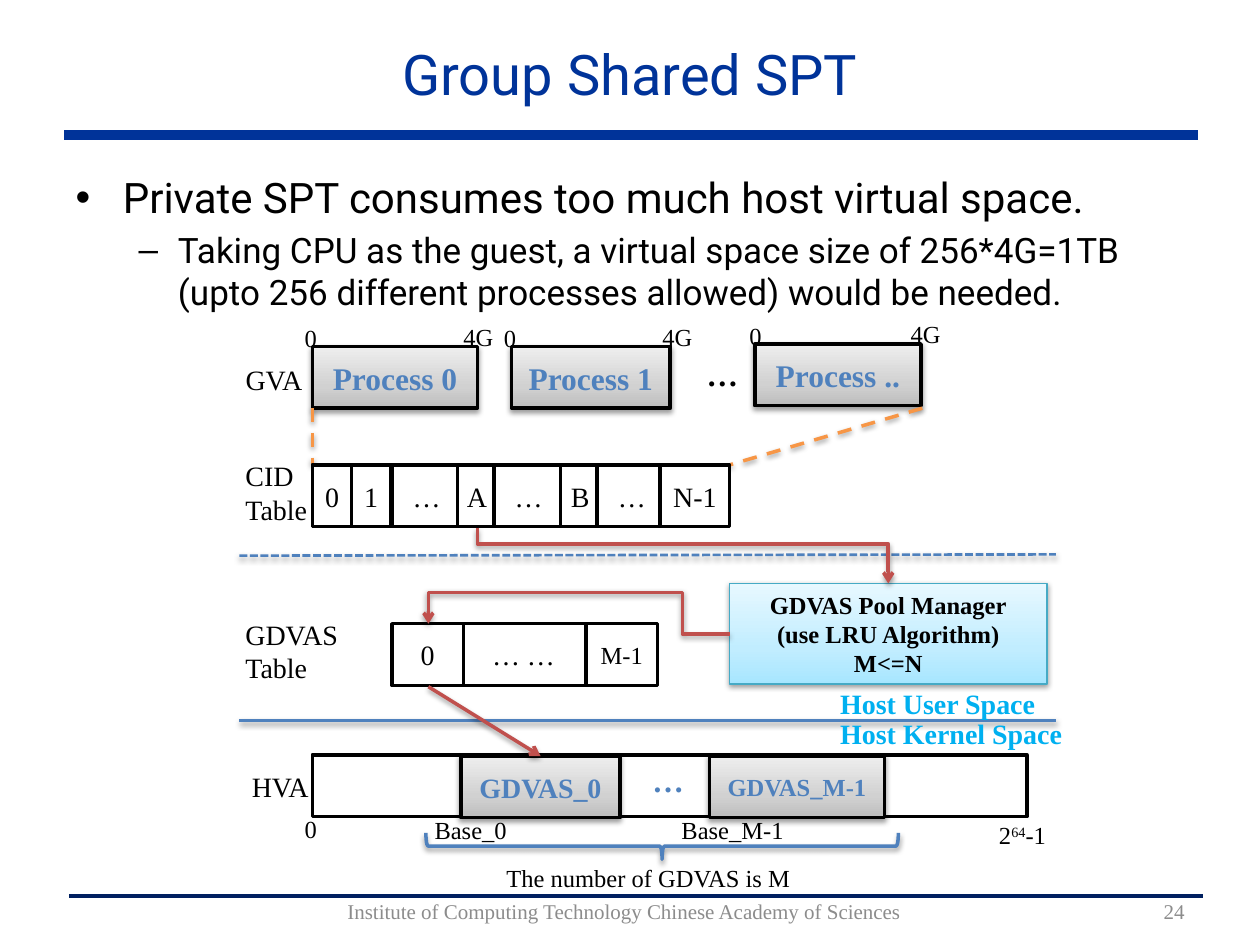
from copy import deepcopy

from lxml.etree import SubElement
from pptx import Presentation
from pptx.dml.color import RGBColor
from pptx.enum.dml import MSO_LINE as Dash
from pptx.enum.shapes import MSO_CONNECTOR as Link, MSO_SHAPE as Shape
from pptx.enum.text import MSO_ANCHOR as Anchor, MSO_AUTO_SIZE as Fit, PP_ALIGN as Align
from pptx.oxml.ns import qn
from pptx.util import Emu, Inches, Pt

COLS, ROWS = 100, 75
SERIF, SANS = "Times New Roman", "Roboto"
BLACK, WHITE, BLUE, RED, ORANGE = "000000", "FFFFFF", "4F81BD", "C0504D", "F79646"
CYAN, GREY, NAVY, TITLE = "00B0F0", "8C8C8C", "002060", "003399"
SILVER = ("BDBDBD", "D1D1D1", "EEEEEE")
SKY = ("A7E6FF", "C1EDFF", "E7F8FF")


def rgb(value):
    return RGBColor.from_string(value)


class Diagram:
    """Draws styled elements on one slide, with lengths in grid columns and rows."""

    def __init__(self, prs):
        self.s = prs.slides.add_slide(prs.slide_layouts[1])
        self.col, self.row = prs.slide_width / COLS, prs.slide_height / ROWS

    def place(self, x, y, w, h):
        return [Emu(round(v * unit)) for v, unit in zip((x, y, w, h), (self.col, self.row) * 2)]

    def format(self, tf, size, color=BLACK, bold=False, font=SERIF, align=None):
        for p in tf.paragraphs:
            if align is not None:
                p.alignment = align
            for r in p.runs:
                r.font.size, r.font.bold, r.font.name = Pt(size), bold, font
                r.font.color.rgb = rgb(color)

    def placeholder(self, sp, box, text, sizes, color, align=None):
        sp.left, sp.top, sp.width, sp.height = self.place(*box)
        tf = sp.text_frame
        tf.text, tf.auto_size = text, Fit.NONE
        self.format(tf, sizes[0], color, font=SANS, align=align)
        for level, (p, size) in enumerate(zip(tf.paragraphs, sizes)):
            p.level = level
            for r in p.runs:
                r.font.size = Pt(size)

    def text(self, x, y, w, h, text, size=14, color=BLACK, bold=False, align=Align.LEFT, anchor=Anchor.TOP):
        tf = self.s.shapes.add_textbox(*self.place(x, y, w, h)).text_frame
        tf.word_wrap, tf.vertical_anchor = True, anchor
        tf.text = text
        self.format(tf, size, color, bold, align=align)
        return tf

    def power(self, x, y, w, h, base, exponent, rest):
        tf = self.text(x, y, w, h, base)
        for part in (exponent, rest):
            tf.paragraphs[0].add_run().text = part
        self.format(tf, 14)
        tf.paragraphs[0].runs[1].font._element.set("baseline", "30000")

    def effects(self, sp, shadow):
        effects = SubElement(sp._element.spPr, qn("a:effectLst"))
        if shadow:
            outer = SubElement(effects, qn("a:outerShdw"), blurRad=str(Pt(3.1)), dist=str(Pt(1.6)),
                               dir="5400000", rotWithShape="0")
            color = SubElement(outer, qn("a:srgbClr"), val=BLACK)
            SubElement(color, qn("a:alpha"), val="38000")

    def stroke(self, sp, color, width):
        sp.line.color.rgb, sp.line.width = rgb(color), Pt(width)

    def gradient(self, sp, colors):
        fill = sp.fill
        fill.gradient()
        fill.gradient_angle = 90
        first = fill.gradient_stops[0]._gs
        first.addnext(deepcopy(first))
        for stop, color, position in zip(fill.gradient_stops, colors, (0, 0.35, 1)):
            stop.color.rgb, stop.position = rgb(color), position

    def box(self, x, y, w, h, text="", size=16, fill=WHITE, color=BLACK, bold=False, line=BLACK, width=2):
        sp = self.s.shapes.add_shape(Shape.RECTANGLE, *self.place(x, y, w, h))
        shaded = fill != WHITE
        if shaded:
            self.gradient(sp, fill)
        else:
            sp.fill.solid()
            sp.fill.fore_color.rgb = rgb(fill)
        self.stroke(sp, line, width)
        self.effects(sp, shaded)
        tf = sp.text_frame
        tf.margin_left = tf.margin_right = 0
        tf.vertical_anchor = Anchor.MIDDLE
        tf.text = text
        self.format(tf, size, color, bold, align=Align.CENTER)

    def block(self, x, y, w, text, size):
        self.box(x, y, w, 4.9, text, size, SILVER, BLUE, True)

    def cells(self, y, cells):
        for x, w, text, size in cells:
            self.box(x, y, w, 4.9, text, size)

    def brace(self, x, y, w, h):
        sp = self.s.shapes.add_shape(Shape.LEFT_BRACE, *self.place(x, y, w, h))
        sp.rotation = 270
        sp.fill.background()
        self.stroke(sp, BLUE, 2)
        self.effects(sp, True)

    def line(self, start, end, color, width=2, dash=None, arrow=False, shadow=True, kind=Link.STRAIGHT):
        sp = self.s.shapes.add_connector(kind, *self.place(*start, *end))
        self.stroke(sp, color, width)
        if dash:
            sp.line.dash_style = dash
        if arrow:
            SubElement(sp._element.spPr.find(qn("a:ln")), qn("a:tailEnd"), type="arrow")
        self.effects(sp, shadow)
        return sp

    def elbow(self, x, y, w, h, preset, adjust, **turn):
        sp = self.line((x, y), (x + w, y + h), RED, arrow=True, kind=Link.ELBOW)
        spPr = sp._element.spPr
        for key, value in turn.items():
            spPr.find(qn("a:xfrm")).set(key, value)
        geom = spPr.find(qn("a:prstGeom"))
        geom.set("prst", preset)
        guides = geom.find(qn("a:avLst"))
        for i, value in enumerate(adjust, 1):
            SubElement(guides, qn("a:gd"), name=f"adj{i}", fmla=f"val {value}")


def main():
    prs = Presentation()
    prs.slide_width, prs.slide_height = Inches(10), Inches(7.5)
    d = Diagram(prs)

    d.line((5.5, 71.1), (95.5, 71.1), NAVY, 2.25, shadow=False)
    d.line((5.1, 10.7), (95.1, 10.7), TITLE, 6, shadow=False)
    title, body = d.s.placeholders
    d.placeholder(title, (5, 1.6, 90, 8.4), "Group Shared SPT", (32,), TITLE, Align.CENTER)
    d.placeholder(body, (5, 13.1, 90, 56.7),
                  "Private SPT consumes too much host virtual space.\n"
                  "Taking CPU as the guest, a virtual space size of 256*4G=1TB "
                  "(upto 256 different processes allowed) would be needed.", (24, 20), BLACK)
    d.text(16.1, 71.1, 66.9, 2.4, "Institute of Computing Technology Chinese Academy of Sciences",
           12, GREY, align=Align.CENTER, anchor=Anchor.MIDDLE)
    d.text(83.1, 71.1, 11.9, 2.4, "24", 12, GREY, align=Align.RIGHT, anchor=Anchor.MIDDLE)

    for x, y, w, label in ((18.5, 28.3, 7.9, "GVA"), (18.5, 48.5, 21.3, "GDVAS\nTable"),
                           (19, 60.6, 7.3, "HVA")):
        d.text(x, y, w, 3.7, label, 16)

    for x, y, w, name, low, high in ((24.8, 27.5, 13.1, "Process 0", 23.2, 35.8),
                                     (40.6, 27.5, 12.6, "Process 1", 39, 51.6),
                                     (59.9, 27.3, 13.2, "Process ..", 58.5, 71.3)):
        d.text(low, y - 2.35, 4.7, 3.4, "0")
        d.text(high, y - 2.45, 4.7, 3.4, "4G")
        d.block(x, y, w, name, 18)
    d.text(55.1, 27.7, 21.3, 4, "…", 18, bold=True)
    d.line((24.8, 32.4), (24.8, 36.9), ORANGE, dash=Dash.DASH)
    d.line((73.2, 32.4), (57.9, 36.9), ORANGE, dash=Dash.DASH)

    d.box(24.8, 36.9, 33, 4.9)
    d.text(18.5, 35.9, 21.3, 6.4, "CID\nTable", 16)
    d.cells(36.9, [(x, w, text, 16) for x, w, text in (
        (24.8, 3.1, "0"), (27.9, 3.1, "1"), (31.1, 5.5, "…"), (36.3, 3.1, "A"),
        (39.2, 5.5, "…"), (44.5, 3.1, "B"), (47.4, 5.5, "…"), (52.4, 5.5, "N-1"))])

    d.line((19, 44.1), (83.8, 44), BLUE, 1.5, Dash.SQUARE_DOT)
    d.line((19, 57.2), (83.8, 57.2), BLUE)
    d.cells(49.5, ((36.6, 9.9, "… …", 16), (46.5, 5.7, "M-1", 14), (31.1, 5.7, "0", 16)))
    d.box(57.9, 46.3, 25.2, 8, "GDVAS Pool Manager\n(use LRU Algorithm)\nM<=N",
          14, SKY, bold=True, line="46AAC5", width=0.75)

    d.box(24.8, 59.9, 56.7, 4.9)
    d.block(36.6, 60, 12.6, "GDVAS_0", 16)
    d.block(56.3, 60, 13.9, "GDVAS_M-1", 14)
    d.text(50.8, 59.9, 4.6, 4, "…", 18, BLUE, True)
    d.text(23.2, 64.1, 4.7, 3.4, "0")
    d.text(33.5, 64.2, 8.5, 3.4, "Base_0")
    d.text(53.1, 64.2, 11.8, 3.4, "Base_M-1")
    d.power(78.3, 64.6, 7.1, 3.4, "2", "64", "-1")
    d.brace(51.5, 48.4, 2.1, 37.5)
    d.text(39.2, 68, 28.2, 3.4, "The number of GDVAS is M")

    d.elbow(52, 27.8, 4.4, 32.6, "bentConnector3", (28700,), rot="16200000", flipH="1")
    d.elbow(34, 49.5, 23.9, 0.8, "bentConnector4", (15700, 412000), rot="10800000")
    d.line((34, 54.5), (42.9, 60), RED, arrow=True)
    d.text(65.7, 54, 20.7, 3.7, "Host User Space", 16, CYAN, True)
    d.text(65.7, 56.4, 20.9, 3.7, "Host Kernel Space", 16, CYAN, True)

    prs.save("out.pptx")


if __name__ == "__main__":
    main()
